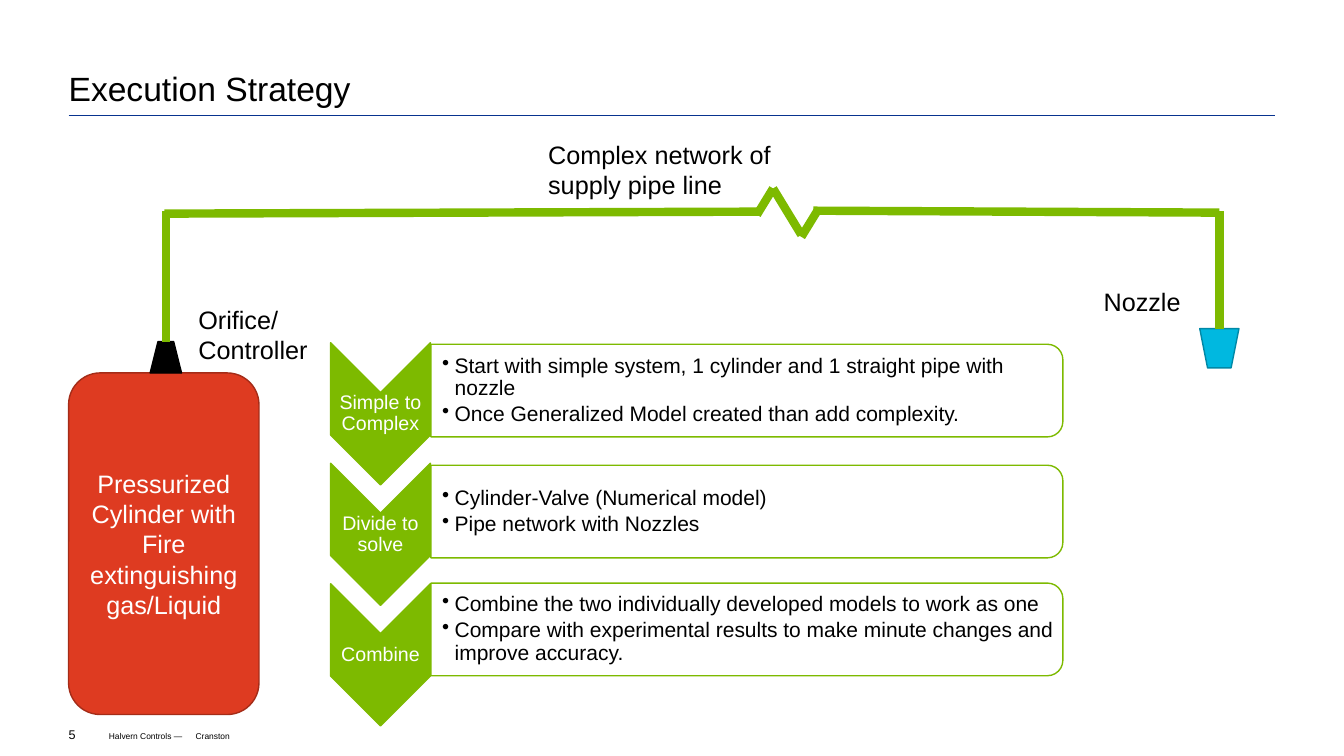
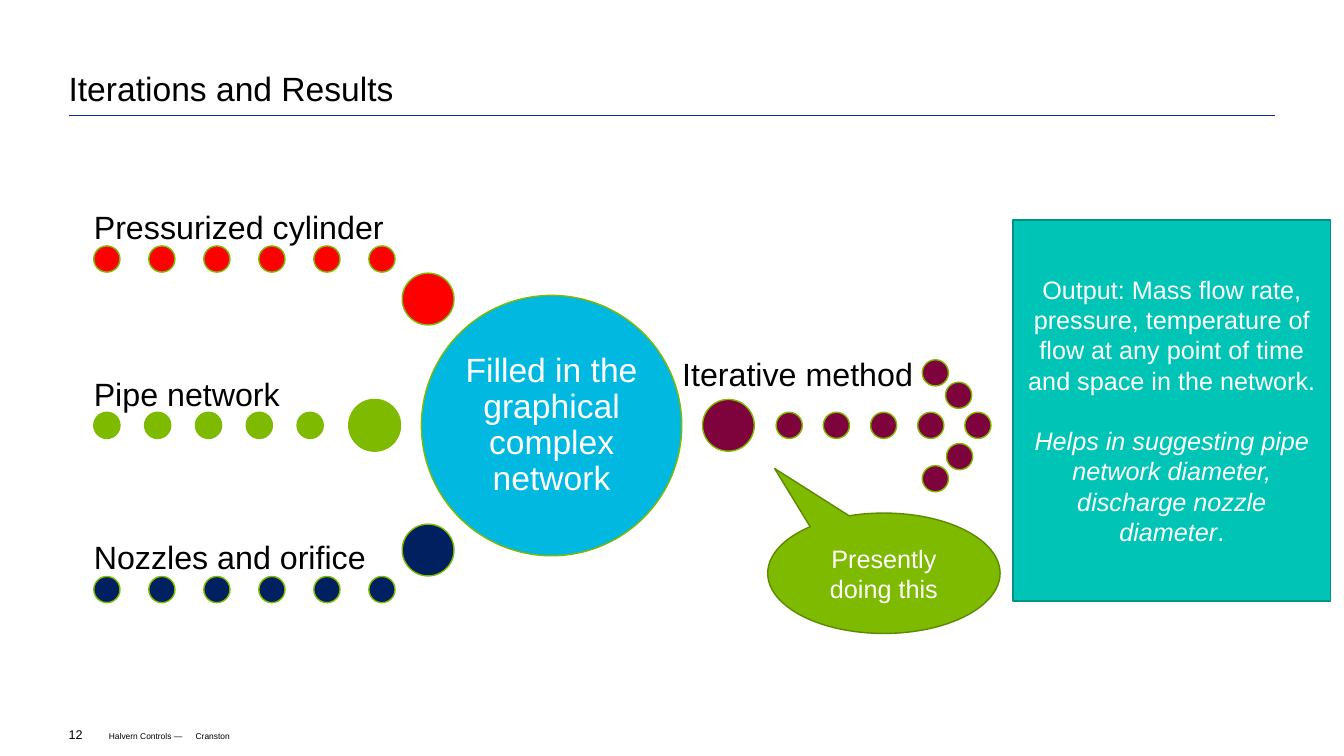
from lxml import etree
from pptx import Presentation
from pptx import util as u
from pptx.dml.color import RGBColor
from pptx.enum import shapes, text
from pptx.oxml import ns

Pt = u.Pt
KIND = shapes.MSO_SHAPE
ANCHOR = text.MSO_ANCHOR
CENTER = text.PP_ALIGN.CENTER
COLORS = {
    "black": "000000", "white": "FFFFFF", "rule": "08338F",
    "green": "7DBA00", "dark green": "5C8A00",
    "red": "DE3B21", "dark red": "A42C18",
    "cyan": "00B8E0", "dark cyan": "0088A6",
    "teal": "00C4B5", "dark teal": "009186",
    "bright red": "FF0000", "navy": "002060", "plum": "7E023B",
}
RGB = {name: RGBColor.from_string(value) for name, value in COLORS.items()}


def write(shape, paragraphs, size, color="black", anchor=ANCHOR.TOP,
          insets=(7.2, 3.6, 7.2, 3.6), bullet=False, **paragraph_format):
    """Fill a shape or text box with paragraphs of one style."""
    frame = shape.text_frame
    frame.word_wrap = True
    frame.vertical_anchor = anchor
    for side, inset in zip(("left", "top", "right", "bottom"), insets):
        setattr(frame, f"margin_{side}", Pt(inset))
    for i, words in enumerate(paragraphs):
        paragraph = frame.paragraphs[0] if i == 0 else frame.add_paragraph()
        paragraph.text = words
        for name, value in paragraph_format.items():
            setattr(paragraph, name, value)
        if bullet:
            properties = paragraph._p.get_or_add_pPr()
            properties.set("marL", str(Pt(9)))
            properties.set("indent", str(-Pt(9)))
            etree.SubElement(properties, ns.qn("a:buChar")).set("char", "•")
        for name, value in {"name": "Arial", "size": Pt(size)}.items():
            setattr(paragraph.font, name, value)
        paragraph.font.color.rgb = RGB[color]
    return frame


def draw(slide, kind, box, fill, outline):
    """Add a flat preset shape with a one-point outline."""
    shape = slide.shapes.add_shape(kind, *map(Pt, box))
    shape.shadow.inherit = False
    shape.fill.solid()
    shape.fill.fore_color.rgb = RGB[fill]
    shape.line.color.rgb = RGB[outline]
    shape.line.width = Pt(1)
    return shape


deck = Presentation()
deck.slide_width, deck.slide_height = Pt(960), Pt(540)
lines = []  # (connector, colour, width), styled together at the end

# Title, rule and footer of both slides
slides = []
for title, number in (("Execution Strategy", "5"), ("Iterations and Results", "12")):
    slide = deck.slides.add_slide(deck.slide_layouts[6])
    slides.append(slide)
    rule = slide.shapes.add_connector(
        shapes.MSO_CONNECTOR.STRAIGHT, Pt(49), Pt(82.8), Pt(911), Pt(82.8))
    lines.append((rule, "rule", 0.75))
    for words, box, size, anchor, spacing in (
        (title, (49, 15, 862, 62.8), 24, ANCHOR.BOTTOM, 0.9),
        (number, (49, 516.2, 28, 17.3), 9, ANCHOR.MIDDLE, 1.0),
        ("Halvern Controls —", (77.8, 522, 60, 7.2), 6, ANCHOR.TOP, 1.0),
        ("Cranston", (139.8, 518.4, 499, 15), 6, ANCHOR.MIDDLE, 1.0),
    ):
        write(slide.shapes.add_textbox(*map(Pt, box)), [words], size, anchor=anchor,
              insets=(0, 0, 0, 0), line_spacing=spacing)
strategy, results = slides

# Strategy: cylinder, orifice and nozzle
cylinder = draw(strategy, KIND.ROUNDED_RECTANGLE, (49, 266.4, 136, 244), "red", "dark red")
write(cylinder, ["Pressurized Cylinder with Fire extinguishing gas/Liquid"], 18, "white",
      ANCHOR.MIDDLE, alignment=CENTER)
orifice = draw(strategy, KIND.TRAPEZOID, (107.3, 244, 22.4, 22.4), "black", "black")
nozzle = draw(strategy, KIND.FLOWCHART_MANUAL_OPERATION, (857, 234.8, 28, 28),
              "cyan", "dark cyan")

# Strategy: pipe from orifice to nozzle, with a break in it
pipe = []
for ends in (
    (118.5, 244, 118.5, 150.5), (117.4, 152.6, 542.2, 151.2),
    (540.7, 153.4, 552.2, 134.6), (552.2, 134.6, 572.4, 167.8),
    (572.4, 169.2, 583.9, 150.5), (581, 150.5, 871, 151.9),
    (871, 234.8, 871, 150.5),
):
    pipe.append(strategy.shapes.add_connector(
        shapes.MSO_CONNECTOR.STRAIGHT, *map(Pt, ends)))
    lines.append((pipe[-1], "green", 6))
pipe[0].begin_connect(orifice, 0)
pipe[-1].begin_connect(nozzle, 0)

for words, box in (
    ("Orifice/ Controller", (134.6, 213.8, 102.2, 51)),
    ("Complex network of supply pipe line", (384.5, 95.8, 191.5, 51)),
    ("Nozzle", (781.2, 200.9, 102.2, 29)),
):
    write(strategy.shapes.add_textbox(*map(Pt, box)), [words], 18)

# Strategy: three steps, each a chevron with a panel
STEP_GAP = 86.1
for i, (step, panel_middle, points) in enumerate((
    ("Simple to Complex", 279,
     ["Start with simple system, 1 cylinder and 1 straight pipe with nozzle",
      "Once Generalized Model created than add complexity."]),
    ("Divide to solve", 365.4,
     ["Cylinder-Valve (Numerical model)", "Pipe network with Nozzles"]),
    ("Combine", 449.6,
     ["Combine the two individually developed models to work as one",
      "Compare with experimental results to make minute changes and improve accuracy."]),
)):
    middle = 295.6 + i * STEP_GAP
    chevron = draw(strategy, KIND.CHEVRON, (221, middle - 35.6, 101.6, 71.2), "green", "green")
    panel = draw(strategy, KIND.ROUND_2_SAME_RECTANGLE,
                 (500.4, panel_middle - 225.7, 66.2, 451.4), "white", "green")
    chevron.rotation = panel.rotation = 90
    label = strategy.shapes.add_textbox(Pt(236.2), Pt(middle - 15.2), Pt(71.2), Pt(30.4))
    write(label, [step], 14, "white", ANCHOR.MIDDLE, (0.7, 0.7, 0.7, 0.7),
          alignment=CENTER, line_spacing=0.9, space_after=Pt(4.9))
    details = strategy.shapes.add_textbox(Pt(307.4), Pt(panel_middle - 29.9), Pt(448), Pt(59.8))
    write(details, points, 15, "black", ANCHOR.MIDDLE, (8.4, 0.7, 0.7, 0.7), bullet=True,
          line_spacing=0.9, space_after=Pt(2.25))

# Results: dotted rows of inputs and of the iteration
SMALL, LARGE = 18.7, 37
dots = [(658.8, 257, SMALL, "plum"), (658.8, 332.6, SMALL, "plum"),
        (675.4, 273, SMALL, "plum"), (676.1, 316.8, SMALL, "plum")]
for color, left, top, count, gap, end_left, end_top in (
    ("bright red", 67, 175.7, 6, 39.3, 287.3, 195.1),
    ("green", 67, 294.5, 5, 36.3, 249.1, 285.3),
    ("navy", 67, 411.8, 6, 39.3, 287.3, 374.4),
    ("plum", 554.4, 294.5, 5, 33.7, 501.8, 285.3),
):
    dots += [(left + i * gap, top, SMALL, color) for i in range(count)]
    dots.append((end_left, end_top, LARGE, color))
for left, top, size, color in dots:
    draw(results, KIND.OVAL, (left, top, size, size), color, "green")

for words, top, width in (
    ("Pressurized cylinder", 128.2, 215.3),
    ("Pipe network", 247.7, 162.7),
    ("Nozzles and orifice", 364.3, 215.3),
):
    row_label = results.shapes.add_textbox(Pt(67), Pt(top), Pt(width), Pt(47.5))
    write(row_label, [words], 23, "black", ANCHOR.BOTTOM, (0, 0, 0, 0),
          line_spacing=0.9, space_after=Pt(8))
write(results.shapes.add_textbox(Pt(480.2), Pt(249.8), Pt(203.8), Pt(35.3)),
      ["Iterative method"], 23)

# Results: network, output and present state
network = draw(results, KIND.OVAL, (301, 211, 186, 186), "cyan", "green")
write(network, ["Filled in the graphical complex network"], 24, "white", ANCHOR.MIDDLE,
      (2, 2, 2, 2), alignment=CENTER, line_spacing=0.9, space_after=Pt(8.4))
output = draw(results, KIND.RECTANGLE, (723.6, 157, 226.8, 272.2), "teal", "dark teal")
purpose = write(output, [
    "Output: Mass flow rate, pressure, temperature of flow at any point of time "
    "and space in the network.",
    "Helps in suggesting pipe network diameter, discharge nozzle diameter",
], 18, "white", ANCHOR.MIDDLE, alignment=CENTER).paragraphs[1]
purpose.space_before = Pt(21.6)
purpose.runs[0].font.italic = True
purpose.add_run().text = "."
present = draw(results, KIND.OVAL_CALLOUT, (548.4, 366.5, 166, 86), "green", "dark green")
present.adjustments[0], present.adjustments[1] = -0.47, -0.87
write(present, ["Presently doing this"], 18, "white", ANCHOR.MIDDLE, alignment=CENTER)

# Line style
for line, color, width in lines:
    line.line.color.rgb = RGB[color]
    line.line.width = Pt(width)
    etree.SubElement(line._element.spPr, ns.qn("a:effectLst"))

deck.save("out.pptx")
